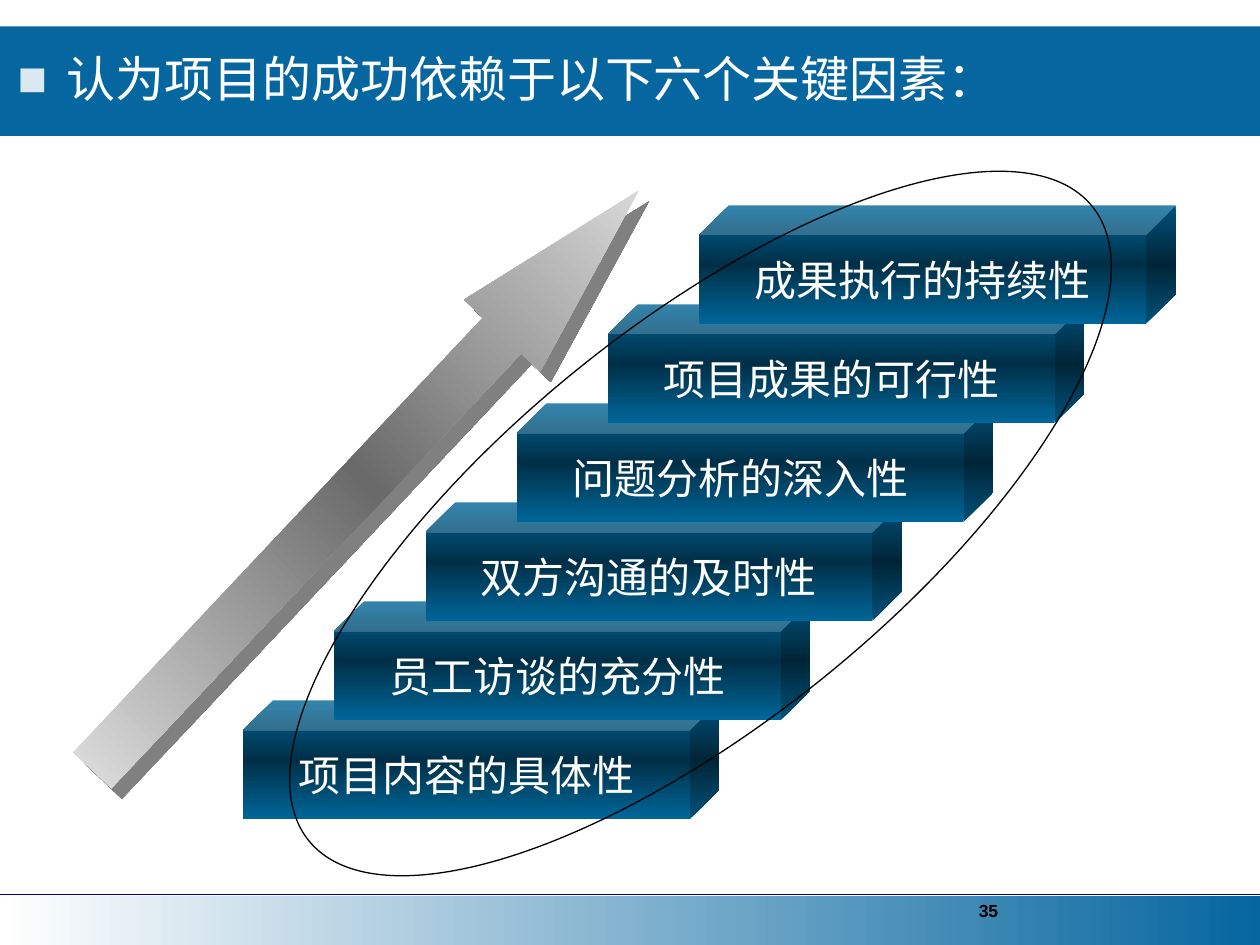
import dataclasses

import lxml.etree
import pptx
import pptx.dml.color
import pptx.enum.shapes
import pptx.enum.text
import pptx.oxml
import pptx.oxml.ns
import pptx.util
from pptx.util import Inches

SHAPE = pptx.enum.shapes.MSO_SHAPE
ALIGN = pptx.enum.text.PP_ALIGN
ANCHOR = pptx.enum.text.MSO_ANCHOR
DRAWING = "http://schemas.openxmlformats.org/drawingml/2006/main"


@dataclasses.dataclass(frozen=True)
class Theme:
    font: str = "Arial"
    banner: str = "06669F"
    bullet: str = "DAE8F1"
    light: str = "FFFFFF"
    dark: str = "000000"
    rule: str = "000099"
    shadow: str = "808080"
    step: tuple = ("006699", "002F47", "006699")
    arrow: tuple = ("E6E6E6", "6A6A6A", "E6E6E6")
    title_size: int = 28
    step_size: int = 24
    number_size: int = 10


@dataclasses.dataclass(frozen=True)
class Box:
    left: float
    top: float
    width: float
    height: float

    def lengths(self) -> tuple:
        return tuple(Inches(value) for value in dataclasses.astuple(self))


@dataclasses.dataclass(frozen=True)
class Step:
    label: str
    box: Box


THEME = Theme()
FACTORS = (
    "项目内容的具体性",
    "员工访谈的充分性",
    "双方沟通的及时性",
    "问题分析的深入性",
    "项目成果的可行性",
    "成果执行的持续性",
)
STEP_RIGHT = (5.55 - 1.93) / (len(FACTORS) - 1)
STEP_UP = (5.56 - 1.63) / (len(FACTORS) - 1)
STEPS = [
    Step(label, Box(1.93 + STEP_RIGHT * level, 5.56 - STEP_UP * level, 3.78, 0.94))
    for level, label in enumerate(FACTORS)
]


def rgb(color: str) -> pptx.dml.color.RGBColor:
    return pptx.dml.color.RGBColor.from_string(color)


def drawing_xml(tag: str, attributes: str, content: str):
    return pptx.oxml.parse_xml(
        f'<a:{tag} xmlns:a="{DRAWING}" {attributes}>{content}</a:{tag}>'
    )


def add_plain_shape(slide, preset, box: Box):
    shape = slide.shapes.add_shape(preset, *box.lengths())
    shape.shadow.inherit = False
    shape.fill.background()
    shape.line.fill.background()
    return shape


def set_gradient(shape, colors: tuple, angle: int) -> None:
    last = len(colors) - 1
    stops = "".join(
        f'<a:gs pos="{100000 * index // last}"><a:srgbClr val="{color}"/></a:gs>'
        for index, color in enumerate(colors)
    )
    gradient = drawing_xml(
        "gradFill",
        'rotWithShape="0"',
        f'<a:gsLst>{stops}</a:gsLst><a:lin ang="{angle * 60000}" scaled="0"/>',
    )
    properties = shape.element.spPr
    empty_fill = properties.find(pptx.oxml.ns.qn("a:noFill"))
    properties.replace(empty_fill, gradient)


def add_run(paragraph, text: str, size: int, color: str, bold: bool = False) -> None:
    run = paragraph.add_run()
    run.text = text
    run.font.name = THEME.font
    run.font.size = pptx.util.Pt(size)
    run.font.bold = bold
    run.font.color.rgb = rgb(color)


def add_frame(slide) -> None:
    footer = add_plain_shape(slide, SHAPE.RECTANGLE, Box(0, 7.11, 10, 0.41))
    set_gradient(footer, (THEME.light, THEME.banner), 0)
    rule = slide.shapes.add_connector(
        pptx.enum.shapes.MSO_CONNECTOR.STRAIGHT,
        Inches(-0.01), Inches(7.1), Inches(10.01), Inches(7.1),
    )
    rule.line.color.rgb = rgb(THEME.rule)
    rule.line.width = pptx.util.Pt(1)
    lxml.etree.SubElement(rule.element.spPr, pptx.oxml.ns.qn("a:effectLst"))
    banner = add_plain_shape(slide, SHAPE.RECTANGLE, Box(0, 0.21, 10, 0.87))
    banner.fill.solid()
    banner.fill.fore_color.rgb = rgb(THEME.banner)
    number = slide.shapes.add_textbox(*Box(7.67, 7.09, 2.33, 0.36).lengths())
    number.text_frame.word_wrap = True
    add_run(number.text_frame.paragraphs[0], "35", THEME.number_size, THEME.dark, True)


def add_title(slide, text: str) -> None:
    title = slide.shapes.title
    title.left, title.top, title.width, title.height = Box(0.04, 0.21, 9.96, 0.87).lengths()
    title.element.getparent().append(title.element)
    frame = title.text_frame
    frame.auto_size = pptx.enum.text.MSO_AUTO_SIZE.NONE
    frame.vertical_anchor = ANCHOR.MIDDLE
    paragraph = frame.paragraphs[0]
    properties = paragraph._p.get_or_add_pPr()
    indent = Inches(0.39)
    properties.set("marL", str(indent))
    properties.set("indent", str(-indent))
    properties.append(drawing_xml("buClr", "", f'<a:srgbClr val="{THEME.bullet}"/>'))
    properties.append(drawing_xml("buFont", f'typeface="{THEME.font}"', ""))
    properties.append(drawing_xml("buChar", 'char="■"', ""))
    paragraph.alignment = ALIGN.LEFT
    paragraph.line_spacing = 0.9
    add_run(paragraph, text, THEME.title_size, THEME.light)


def add_step(slide, step: Step) -> None:
    cube = add_plain_shape(slide, SHAPE.CUBE, step.box)
    cube.adjustments[0] = 0.25
    set_gradient(cube, THEME.step, 90)
    frame = cube.text_frame
    frame.margin_left = frame.margin_right = frame.margin_top = frame.margin_bottom = 0
    frame.word_wrap = False
    frame.vertical_anchor = ANCHOR.MIDDLE
    paragraph = frame.paragraphs[0]
    paragraph.alignment = ALIGN.CENTER
    add_run(paragraph, step.label, THEME.step_size, THEME.light)


def add_rising_arrow(slide) -> None:
    arrow = add_plain_shape(slide, SHAPE.RIGHT_ARROW, Box(-0.26, 3.4, 6.32, 0.83))
    arrow.rotation = 313.3
    arrow.adjustments[0] = 0.5
    arrow.adjustments[1] = 1.9
    set_gradient(arrow, THEME.arrow, 137)
    effects = arrow.element.spPr.find(pptx.oxml.ns.qn("a:effectLst"))
    effects.append(
        drawing_xml(
            "outerShdw",
            f'dist="{pptx.util.Pt(8.5)}" dir="{45 * 60000}" algn="ctr" rotWithShape="0"',
            f'<a:srgbClr val="{THEME.shadow}"/>',
        )
    )


def add_outline(slide) -> None:
    outline = add_plain_shape(slide, SHAPE.OVAL, Box(1.56, 2.59, 8, 3.13))
    outline.rotation = 321
    outline.line.color.rgb = rgb(THEME.dark)
    outline.line.width = pptx.util.Pt(0.75)


def main() -> None:
    deck = pptx.Presentation()
    deck.slide_width, deck.slide_height = Inches(10), Inches(7.5)
    slide = deck.slides.add_slide(deck.slide_layouts[5])
    add_frame(slide)
    add_title(slide, "认为项目的成功依赖于以下六个关键因素：")
    add_rising_arrow(slide)
    for step in STEPS:
        add_step(slide, step)
    add_outline(slide)
    deck.save("out.pptx")


if __name__ == "__main__":
    main()
